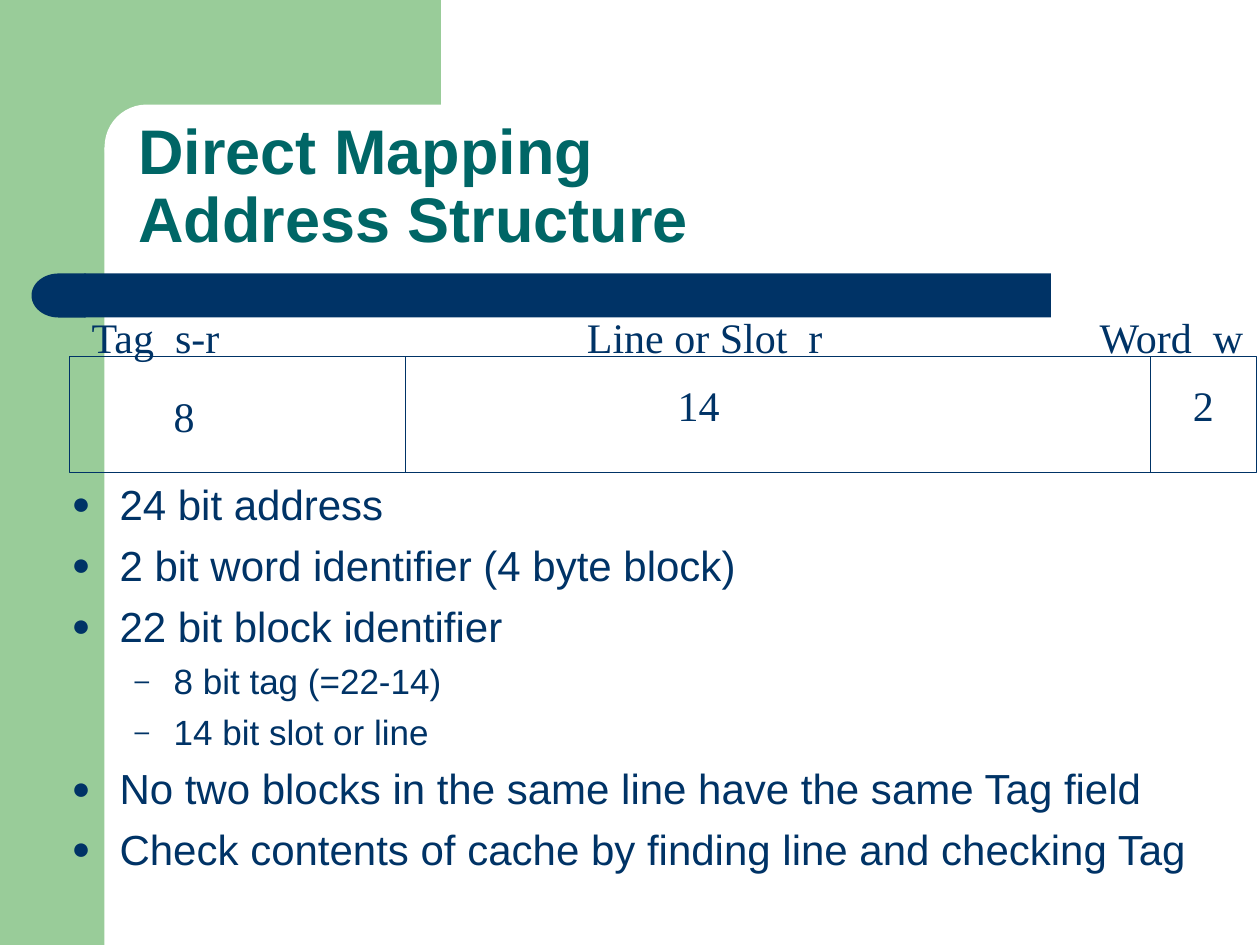
from lxml import etree
from pptx import Presentation
from pptx import util as u
from pptx.dml.color import RGBColor
from pptx.enum import shapes, text
from pptx.oxml import ns

COLORS = {"green": "99CC99", "white": "FFFFFF", "navy": "003366", "teal": "006666"}

# Each field: label, bits, label left, bits left, bits top, all from the diagram's corner
FIELDS = [
    (("Tag  s-r", 0.08, 1.23), ("8", 0.73, 0.22, 0.36)),
    (("Line or Slot  r", 4.01, 2.07), ("14", 4.73, 0.13, 0.53)),
    (("Word  w", 8.08, 1.36), ("2", 8.82, 0.13, 0.36)),
]
DIVIDERS = [2.67, 8.58]

BULLETS = [
    (0, "24 bit address"),
    (0, "2 bit word identifier (4 byte block)"),
    (0, "22 bit block identifier"),
    (1, "8 bit tag (=22-14)"),
    (1, "14 bit slot or line"),
    (0, "No two blocks in the same line have the same Tag field"),
    (0, "Check contents of cache by finding line and checking Tag"),
]
# Per level: bullet sign, text indent, hanging indent, text size, space before
LEVELS = [("●", 0.38, 0.38, 24, 6), ("–", 0.81, 0.31, 20, 5)]


def color(name):
    return RGBColor.from_string(COLORS[name])


def inches(box):
    return [u.Inches(value) for value in box]


def add_block(slide, kind, box, fill=None, line=None):
    shape = slide.shapes.add_shape(kind, *inches(box))
    shape.shadow.inherit = False
    if fill:
        shape.fill.solid()
        shape.fill.fore_color.rgb = color(fill)
    else:
        shape.fill.background()
    if line:
        shape.line.color.rgb = color(line)
        shape.line.width = u.Pt(0.75)
    else:
        shape.line.fill.background()
    return shape


def add_text_frame(slide, box, wrap=True):
    frame = slide.shapes.add_textbox(*inches(box)).text_frame
    frame.word_wrap = wrap
    return frame


def format_runs(paragraph, font_name, size, color_name, bold=False):
    for run in paragraph.runs:
        run.font.name = font_name
        run.font.size = u.Pt(size)
        run.font.bold = bold
        run.font.color.rgb = color(color_name)


def add_label(slide, wording, left, top, width):
    frame = add_text_frame(slide, (left, top, width, 0.5), wrap=False)
    frame.auto_size = text.MSO_AUTO_SIZE.SHAPE_TO_FIT_TEXT
    frame.text = wording
    format_runs(frame.paragraphs[0], "Times New Roman", 24, "navy")


def add_divider(slide, x, top, bottom):
    line = slide.shapes.add_connector(
        shapes.MSO_CONNECTOR.STRAIGHT, *inches((x, top, x, bottom)))
    line.line.color.rgb = color("navy")
    line.line.width = u.Pt(0.75)
    etree.SubElement(line._element.spPr, ns.qn("a:effectLst"))


def add_bullet(paragraph, sign, indent, hanging):
    properties = paragraph._p.get_or_add_pPr()
    properties.set("marL", str(u.Inches(indent)))
    properties.set("indent", str(-u.Inches(hanging)))
    bullet_color = etree.SubElement(properties, ns.qn("a:buClr"))
    etree.SubElement(bullet_color, ns.qn("a:srgbClr"), val=COLORS["navy"])
    etree.SubElement(properties, ns.qn("a:buSzPct"), val="75000")
    etree.SubElement(properties, ns.qn("a:buFont"), typeface="Arial")
    etree.SubElement(properties, ns.qn("a:buChar"), char=sign)


def build_backdrop(slide, width, height):
    kinds = shapes.MSO_SHAPE
    # Green corner with a rounded white cut-out
    add_block(slide, kinds.RECTANGLE, (0, 0, 0.83, height), "green")
    add_block(slide, kinds.RECTANGLE, (0.75, 0, 2.75, 1.17), "green")
    panel = add_block(slide, kinds.ROUNDED_RECTANGLE, (0.83, 0.83, 5.58, 0.67), "white")
    panel.adjustments[0] = 0.5
    # Navy bar with a round left end
    add_block(slide, kinds.RECTANGLE, (0.67, 2.17, 7.67, 0.35), "navy")
    cap = add_block(slide, kinds.FLOWCHART_DELAY, (0.25, 2.17, 0.43, 0.35), "navy")
    cap.rotation = 180


def build_title(slide, box):
    frame = add_text_frame(slide, box)
    frame.vertical_anchor = text.MSO_ANCHOR.BOTTOM
    paragraph = frame.paragraphs[0]
    paragraph.text = "Direct Mapping\vAddress Structure"
    paragraph.line_spacing = 0.9
    format_runs(paragraph, "Arial", 36, "teal", bold=True)


def build_address_diagram(slide, box):
    left, top, width, height = box
    add_block(slide, shapes.MSO_SHAPE.RECTANGLE, box, line="navy")
    for offset in DIVIDERS:
        add_divider(slide, left + offset, top, top + height)
    for (label, label_x, label_width), (bits, bits_x, bits_y, bits_width) in FIELDS:
        add_label(slide, label, left + label_x, top - 0.41, label_width)
        add_label(slide, bits, left + bits_x, top + bits_y, bits_width)


def build_bullets(slide, box):
    frame = add_text_frame(slide, box)
    for index, (level, wording) in enumerate(BULLETS):
        paragraph = frame.add_paragraph() if index else frame.paragraphs[0]
        sign, indent, hanging, size, space = LEVELS[level]
        paragraph.text = wording
        paragraph.level = level
        add_bullet(paragraph, sign, indent, hanging)
        paragraph.space_before = u.Pt(space if index else 0)
        format_runs(paragraph, "Arial", size, "navy")


def main():
    presentation = Presentation()
    presentation.slide_width = u.Inches(10)
    presentation.slide_height = u.Inches(7.5)
    slide = presentation.slides.add_slide(presentation.slide_layouts[6])
    build_backdrop(slide, 10, 7.5)
    build_title(slide, (1, 0.83, 8.75, 1.25))
    build_address_diagram(slide, (0.55, 2.83, 9.42, 0.92))
    build_bullets(slide, (0.47, 3.75, 9.19, 3.54))
    presentation.save("out.pptx")


if __name__ == "__main__":
    main()
